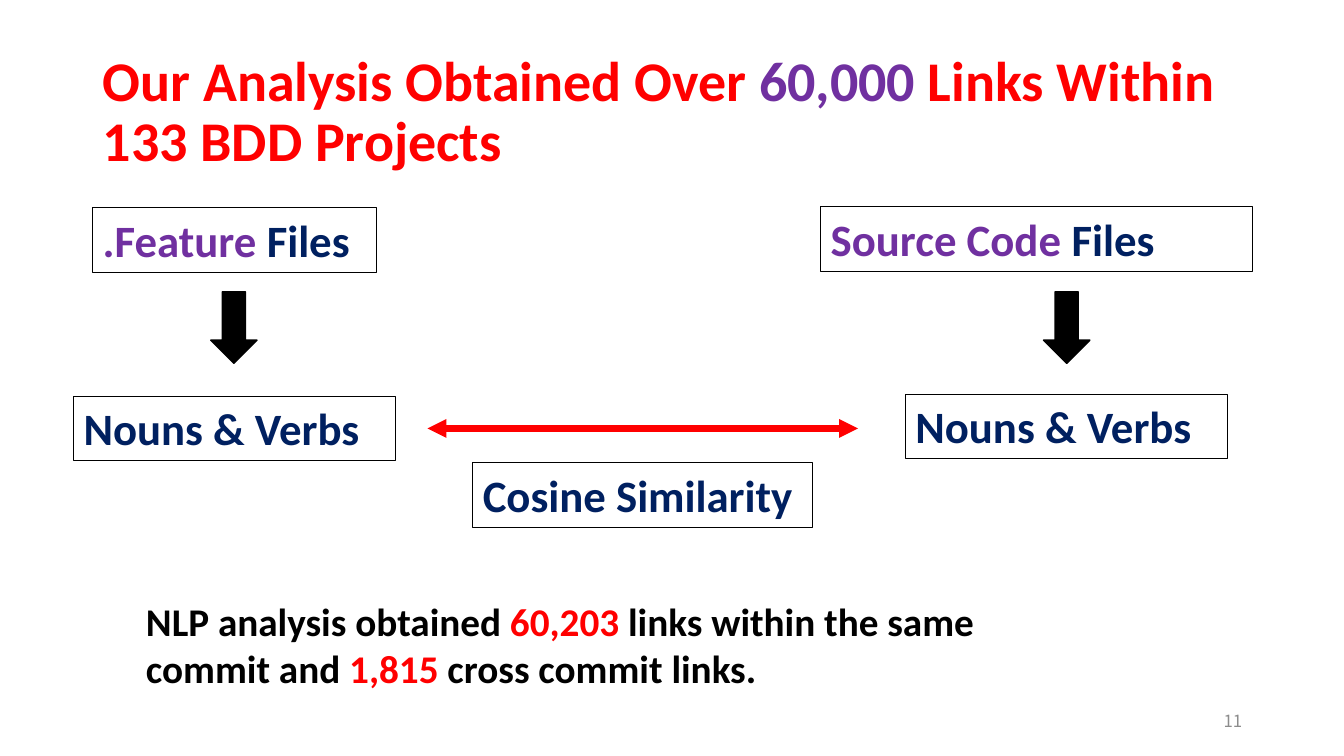
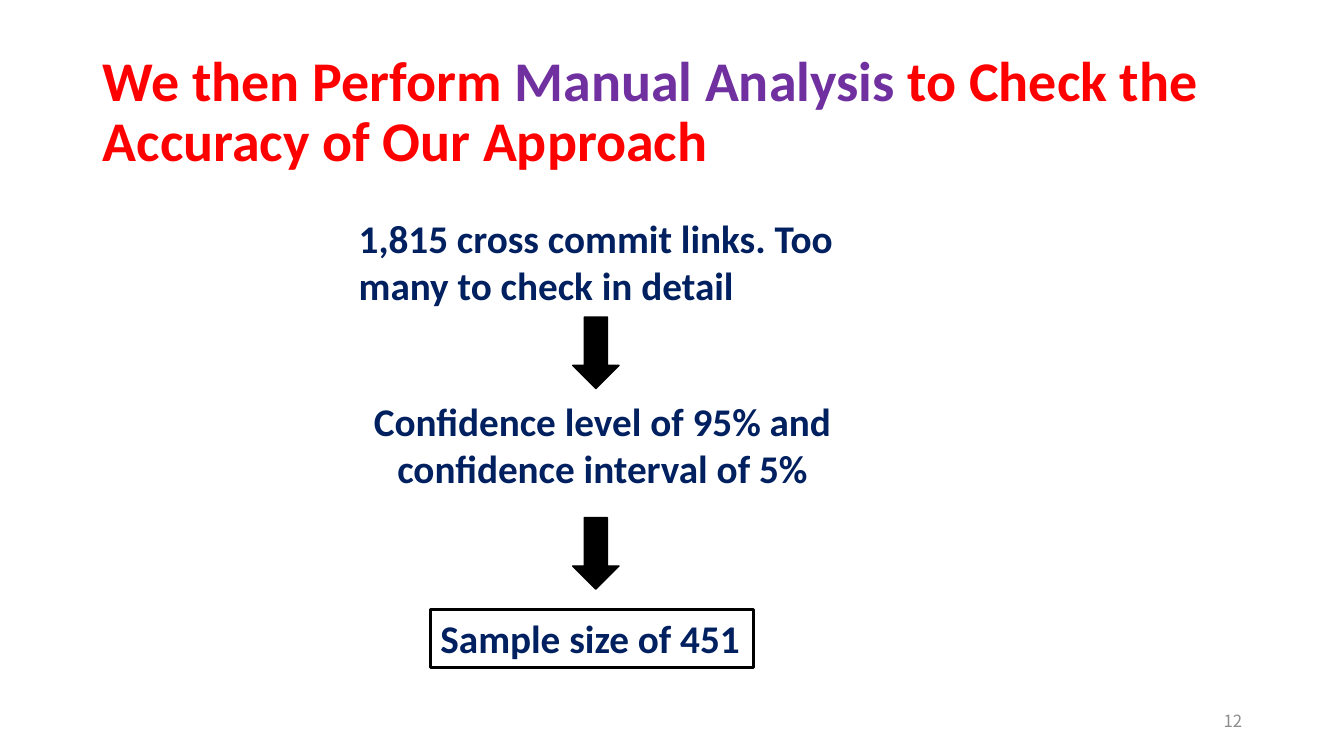
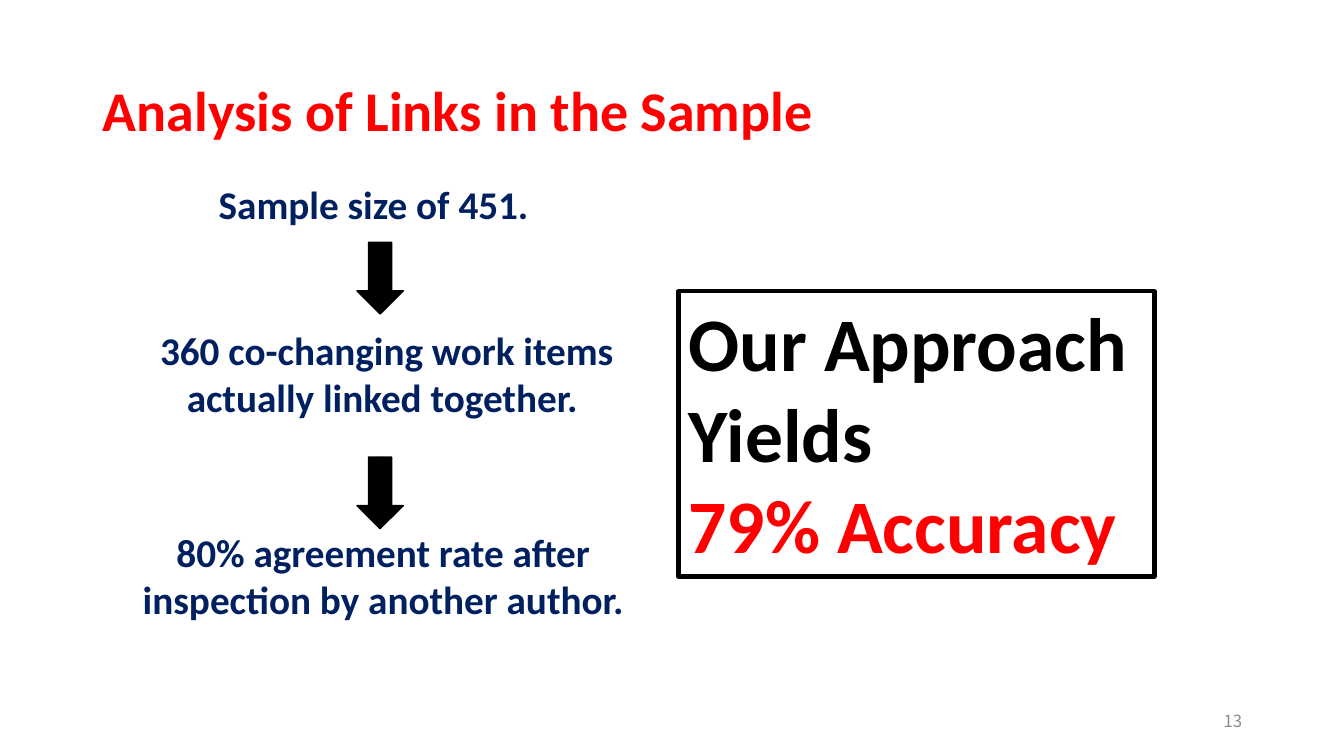
"""Build three slides on linking feature files to source code."""
from lxml import etree
from pptx import Presentation
from pptx.dml.color import RGBColor
from pptx.enum import shapes, text
from pptx.oxml.ns import qn
from pptx.util import Inches, Pt

RED = RGBColor(0xFF, 0x00, 0x00)
PURPLE = RGBColor(0x70, 0x30, 0xA0)
NAVY = RGBColor(0x00, 0x20, 0x60)
BLACK = RGBColor(0x00, 0x00, 0x00)
GREY = RGBColor(0x8C, 0x8C, 0x8C)
FONT = "Calibri"
NUMBER_FONT = "Noto Sans CJK SC"
LEFT, CENTER, RIGHT = text.PP_ALIGN.LEFT, text.PP_ALIGN.CENTER, text.PP_ALIGN.RIGHT
ARROW_WIDTH, ARROW_HEIGHT = 0.46, 0.71
TITLE_ONLY = 5
FIRST_NUMBER = 11


def write_paragraph(paragraph, runs, size, align=LEFT, bold=True, font=FONT):
    """Fill a paragraph with (words, colour) runs of one size."""
    paragraph.alignment = align
    paragraph.font.name = font
    paragraph.font.size = Pt(size)
    paragraph.font.bold = bold
    for words, color in runs:
        run = paragraph.add_run()
        run.text = words
        run.font.color.rgb = color


def add_text(slide, left, top, width, height, paragraphs, size=28, align=LEFT, border=None):
    """Add a wrapped text box, outlined when a border width is given."""
    shape = slide.shapes.add_textbox(Inches(left), Inches(top), Inches(width), Inches(height))
    frame = shape.text_frame
    frame.word_wrap = True
    frame.auto_size = text.MSO_AUTO_SIZE.SHAPE_TO_FIT_TEXT
    for index, runs in enumerate(paragraphs):
        paragraph = frame.add_paragraph() if index else frame.paragraphs[0]
        write_paragraph(paragraph, runs, size, align)
    if border:
        shape.line.color.rgb = BLACK
        shape.line.width = Pt(border)


def add_term(slide, left, top, width, *runs):
    """Add a thinly framed term of the linking diagram."""
    add_text(slide, left, top, width, 0.64, [runs], size=32, border=0.75)


def add_step(slide, left, top, width, height, words, align=CENTER, border=None):
    """Add one navy step of a downward flow."""
    add_text(slide, left, top, width, height, [[(words, NAVY)]], align=align, border=border)


def add_down_arrow(slide, center, middle):
    """Add a black block arrow around a centre point."""
    shape = slide.shapes.add_shape(
        shapes.MSO_SHAPE.DOWN_ARROW,
        Inches(center - ARROW_WIDTH / 2), Inches(middle - ARROW_HEIGHT / 2),
        Inches(ARROW_WIDTH), Inches(ARROW_HEIGHT))
    shape.shadow.inherit = False
    shape.fill.solid()
    shape.fill.fore_color.rgb = BLACK
    shape.line.color.rgb = BLACK
    shape.line.width = Pt(1)


def add_double_arrow(slide, left, right, top):
    """Add a red horizontal line with a head at both ends."""
    connector = slide.shapes.add_connector(
        shapes.MSO_CONNECTOR.STRAIGHT, Inches(left), Inches(top), Inches(right), Inches(top))
    connector.line.color.rgb = RED
    connector.line.width = Pt(4.5)
    line = connector.line._get_or_add_ln()
    for end in ("a:headEnd", "a:tailEnd"):
        etree.SubElement(line, qn(end), type="triangle")
    etree.SubElement(connector._element.spPr, qn("a:effectLst"))


def add_slide(presentation, *title_runs):
    """Add a slide with its title and page number."""
    slide = presentation.slides.add_slide(presentation.slide_layouts[TITLE_ONLY])
    title = slide.shapes.title
    title.left, title.top = Inches(0.92), Inches(0.4)
    title.width, title.height = Inches(11.5), Inches(1.45)
    frame = title.text_frame
    frame.auto_size = text.MSO_AUTO_SIZE.NONE
    frame.vertical_anchor = text.MSO_ANCHOR.MIDDLE
    frame.paragraphs[0].line_spacing = 0.9
    write_paragraph(frame.paragraphs[0], title_runs, 40)

    number = slide.shapes.add_textbox(Inches(9.42), Inches(6.95), Inches(3), Inches(0.4))
    number.text_frame.word_wrap = True
    number.text_frame.vertical_anchor = text.MSO_ANCHOR.MIDDLE
    page = FIRST_NUMBER + len(presentation.slides) - 1
    write_paragraph(number.text_frame.paragraphs[0], [(str(page), GREY)], 12, RIGHT,
                    bold=False, font=NUMBER_FONT)
    return slide


def build_links_slide(presentation):
    """Show how feature files and source code are linked."""
    slide = add_slide(presentation, ("Our Analysis Obtained Over ", RED), ("60,000", PURPLE),
                      (" Links Within 133 BDD Projects", RED))
    add_term(slide, 0.92, 2.06, 2.81, (".Feature ", PURPLE), ("Files", NAVY))
    add_term(slide, 8.14, 2.05, 4.28, ("Source Code ", PURPLE), ("Files", NAVY))
    for left, top, arrow_center in ((0.73, 3.93, 2.32), (8.98, 3.91, 10.58)):
        add_down_arrow(slide, arrow_center, 3.25)
        add_term(slide, left, top, 3.19, ("Nouns & Verbs", NAVY))
    add_double_arrow(slide, 4.24, 8.51, 4.25)
    add_term(slide, 4.69, 4.59, 3.37, ("Cosine Similarity", NAVY))
    add_text(slide, 1.35, 5.88, 9.17, 1.04, [[
        ("NLP analysis obtained ", BLACK), ("60,203", RED),
        (" links within the same commit and ", BLACK), ("1,815", RED),
        (" cross commit links.", BLACK)]])


def build_sampling_slide(presentation):
    """Show how the sample size was reached."""
    slide = add_slide(presentation, ("We then Perform ", RED), ("Manual Analysis ", PURPLE),
                      ("to Check the Accuracy of Our Approach", RED))
    add_step(slide, 3.46, 2.08, 5.13, 1.04,
             "1,815 cross commit links. Too many to check in detail", align=LEFT)
    add_step(slide, 3.41, 3.89, 5.13, 1.04,
             "Conﬁdence level of 95% and conﬁdence interval of 5%")
    add_step(slide, 4.27, 6.05, 3.2, 0.57, "Sample size of 451", align=LEFT, border=2.25)
    for middle in (3.5, 5.49):
        add_down_arrow(slide, 5.91, middle)


def build_accuracy_slide(presentation):
    """Show the sample's results and the accuracy they give."""
    slide = add_slide(presentation, ("Analysis of Links in the Sample", RED))
    add_step(slide, 0.16, 1.74, 7.09, 0.57, "Sample size of 451.")
    add_step(slide, 1, 3.19, 5.67, 1.04, "360 co-changing work items actually linked together. ")
    add_step(slide, 1.18, 5.19, 5.24, 1.04,
             "80% agreement rate after inspection by another author.")
    for middle in (2.76, 4.89):
        add_down_arrow(slide, 3.77, middle)
    add_text(slide, 6.73, 2.89, 4.72, 2.83,
             [[("Our Approach Yields", BLACK)], [("79% Accuracy", RED)]], size=54, border=3)


def main():
    """Build and save the presentation."""
    presentation = Presentation()
    presentation.slide_width, presentation.slide_height = Inches(13.33), Inches(7.5)
    build_links_slide(presentation)
    build_sampling_slide(presentation)
    build_accuracy_slide(presentation)
    presentation.save("out.pptx")


if __name__ == "__main__":
    main()
